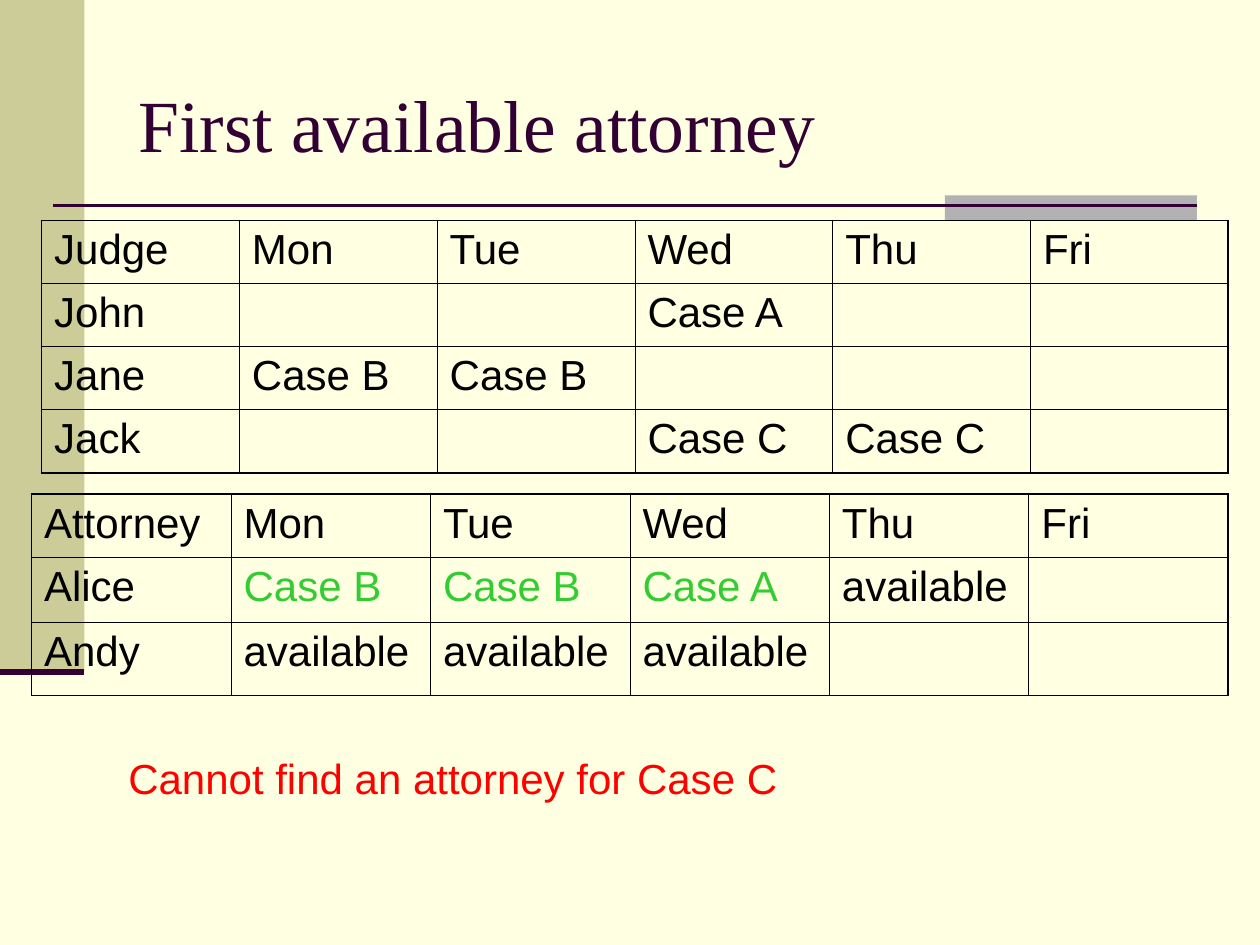
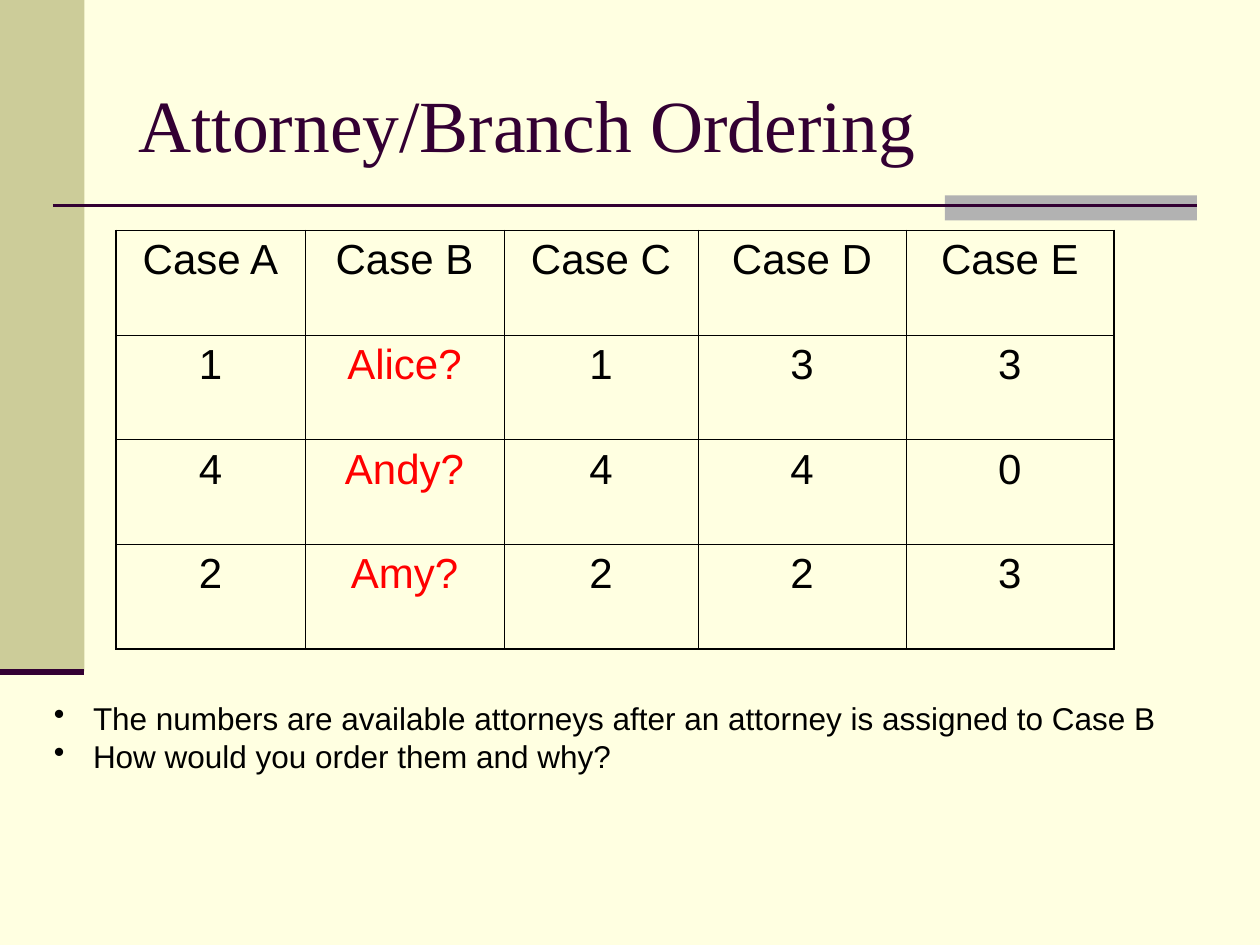
from dataclasses import dataclass, field

from lxml.etree import SubElement
from pptx import Presentation
from pptx.dml.color import RGBColor
from pptx.enum.shapes import MSO_CONNECTOR as Conn, MSO_SHAPE as Shape
from pptx.enum.text import MSO_ANCHOR as Anchor, PP_ALIGN as Align
from pptx.oxml import parse_xml
from pptx.oxml.ns import nsdecls, qn
from pptx.util import Inches, Pt

CREAM = RGBColor(0xFF, 0xFF, 0xE1)
KHAKI = RGBColor(0xCC, 0xCC, 0x99)
GRAY = RGBColor(0xB2, 0xB2, 0xB2)
PLUM = RGBColor(0x33, 0x00, 0x33)
BLACK = RGBColor(0x00, 0x00, 0x00)
RED = RGBColor(0xFF, 0x00, 0x00)
GREEN = RGBColor(0x33, 0xCC, 0x33)

TITLE = {"size": Pt(42), "name": "Times New Roman"}
BODY = {"size": Pt(24), "name": "Arial"}
NOTE = {"size": Pt(18), "name": "Arial"}
OUTER, INNER = Pt(1.08), Pt(0.45)


@dataclass
class Band:
    box: tuple
    color: RGBColor


@dataclass
class Rule:
    start: tuple
    end: tuple
    width: float


@dataclass
class Schedule:
    left: float
    top: float
    widths: list
    heights: list
    rows: list
    align: Align = Align.LEFT
    tints: dict = field(default_factory=dict)


BANDS = [Band((0, 0, 0.67, 5.33), KHAKI), Band((7.5, 1.55, 2, 0.2), GRAY)]
RULES = [Rule((0.42, 1.63), (9.5, 1.63), 1.5), Rule((0, 5.33), (0.67, 5.33), 3.5)]

DAYS = ["Mon", "Tue", "Wed", "Thu", "Fri"]
JUDGES = Schedule(0.33, 1.75, [1.57] * 6, [0.5] * 4, [
    ["Judge", *DAYS],
    ["John", "", "", "Case A", "", ""],
    ["Jane", "Case B", "Case B", "", "", ""],
    ["Jack", "", "", "Case C", "Case C", ""],
])
ATTORNEYS = Schedule(0.25, 3.92, [9.5 / 6] * 6, [0.5, 0.52, 0.58], [
    ["Attorney", *DAYS],
    ["Alice", "Case B", "Case B", "Case A", "available", ""],
    ["Andy", "available", "available", "available", "", ""],
], tints={(1, col): GREEN for col in (1, 2, 3)})
ORDERING = Schedule(0.92, 1.83, [1.5, 1.58, 1.54, 1.65, 1.65], [0.83] * 4, [
    [f"Case {letter}" for letter in "ABCDE"],
    ["1", "Alice?", "1", "3", "3"],
    ["4", "Andy?", "4", "4", "0"],
    ["2", "Amy?", "2", "2", "3"],
], Align.CENTER, {(row, 1): RED for row in (1, 2, 3)})


def inches(values: tuple) -> list:
    return [Inches(v) for v in values]


def format_font(font, style: dict, color: RGBColor) -> None:
    for name, value in style.items():
        setattr(font, name, value)
    font.color.rgb = color


def add_text(s, box: tuple, lines: list, style: dict, color: RGBColor, bullets: bool = False):
    tf = s.shapes.add_textbox(*inches(box)).text_frame
    tf.word_wrap = True
    for i, line in enumerate(lines):
        p = tf.paragraphs[0] if i == 0 else tf.add_paragraph()
        if bullets:
            pPr = p._p.get_or_add_pPr()
            pPr.set("marL", str(Inches(0.31)))
            pPr.set("indent", str(-Inches(0.31)))
            SubElement(pPr, qn("a:buChar"), char="•")
        r = p.add_run()
        r.text = line
        format_font(r.font, style, color)
    return tf


def add_band(s, band: Band) -> None:
    sp = s.shapes.add_shape(Shape.RECTANGLE, *inches(band.box))
    sp.shadow.inherit = False
    sp.fill.solid()
    sp.fill.fore_color.rgb = band.color
    sp.line.fill.background()


def add_rule(s, rule: Rule) -> None:
    line = s.shapes.add_connector(Conn.STRAIGHT, *inches(rule.start + rule.end))
    line.line.color.rgb = PLUM
    line.line.width = Pt(rule.width)
    SubElement(line._element.spPr, qn("a:effectLst"))


def set_borders(cell, widths: dict) -> None:
    """Draw black cell edges; widths is keyed by L, R, T, B in that order."""
    tcPr = cell._tc.get_or_add_tcPr()
    for i, (side, width) in enumerate(widths.items()):
        tcPr.insert(i, parse_xml(
            f'<a:ln{side} {nsdecls("a")} w="{width}"><a:solidFill>'
            f'<a:srgbClr val="{BLACK}"/></a:solidFill></a:ln{side}>'))


def add_schedule(s, plan: Schedule) -> None:
    last_row, last_col = len(plan.heights) - 1, len(plan.widths) - 1
    box = (plan.left, plan.top, sum(plan.widths), sum(plan.heights))
    table = s.shapes.add_table(last_row + 1, last_col + 1, *inches(box)).table
    table.first_row = table.horz_banding = False
    for column, width in zip(table.columns, plan.widths):
        column.width = Inches(width)
    for row, height in zip(table.rows, plan.heights):
        row.height = Inches(height)
    for i, texts in enumerate(plan.rows):
        for j, text in enumerate(texts):
            cell = table.cell(i, j)
            cell.fill.background()
            edges = {"L": j == 0, "R": j == last_col, "T": i == 0, "B": i == last_row}
            set_borders(cell, {side: OUTER if outer else INNER
                               for side, outer in edges.items()})
            p = cell.text_frame.paragraphs[0]
            p.alignment = plan.align
            if text:
                r = p.add_run()
                r.text = text
                format_font(r.font, BODY, plan.tints.get((i, j), BLACK))


def add_slide(prs, title: str):
    s = prs.slides.add_slide(prs.slide_layouts[6])
    s.background.fill.solid()
    s.background.fill.fore_color.rgb = CREAM
    for band in BANDS:
        add_band(s, band)
    for rule in RULES:
        add_rule(s, rule)
    tf = add_text(s, (1, 0.3, 8.5, 1.25), [title], TITLE, PLUM)
    tf.vertical_anchor = Anchor.MIDDLE
    tf.margin_top = Inches(0.15)
    return s


def main() -> None:
    prs = Presentation()
    prs.slide_width, prs.slide_height = Inches(10), Inches(7.5)

    s = add_slide(prs, "First available attorney")
    add_schedule(s, JUDGES)
    add_schedule(s, ATTORNEYS)
    add_text(s, (0.92, 5.92, 7.5, 0.5), ["Cannot find an attorney for Case C"], BODY, RED)

    s = add_slide(prs, "Attorney/Branch Ordering")
    add_schedule(s, ORDERING)
    add_text(s, (0.33, 5.5, 9.25, 0.7), [
        "The numbers are available attorneys after an attorney is assigned to Case B",
        "How would you order them and why?",
    ], NOTE, BLACK, bullets=True)

    prs.save("out.pptx")


if __name__ == "__main__":
    main()
